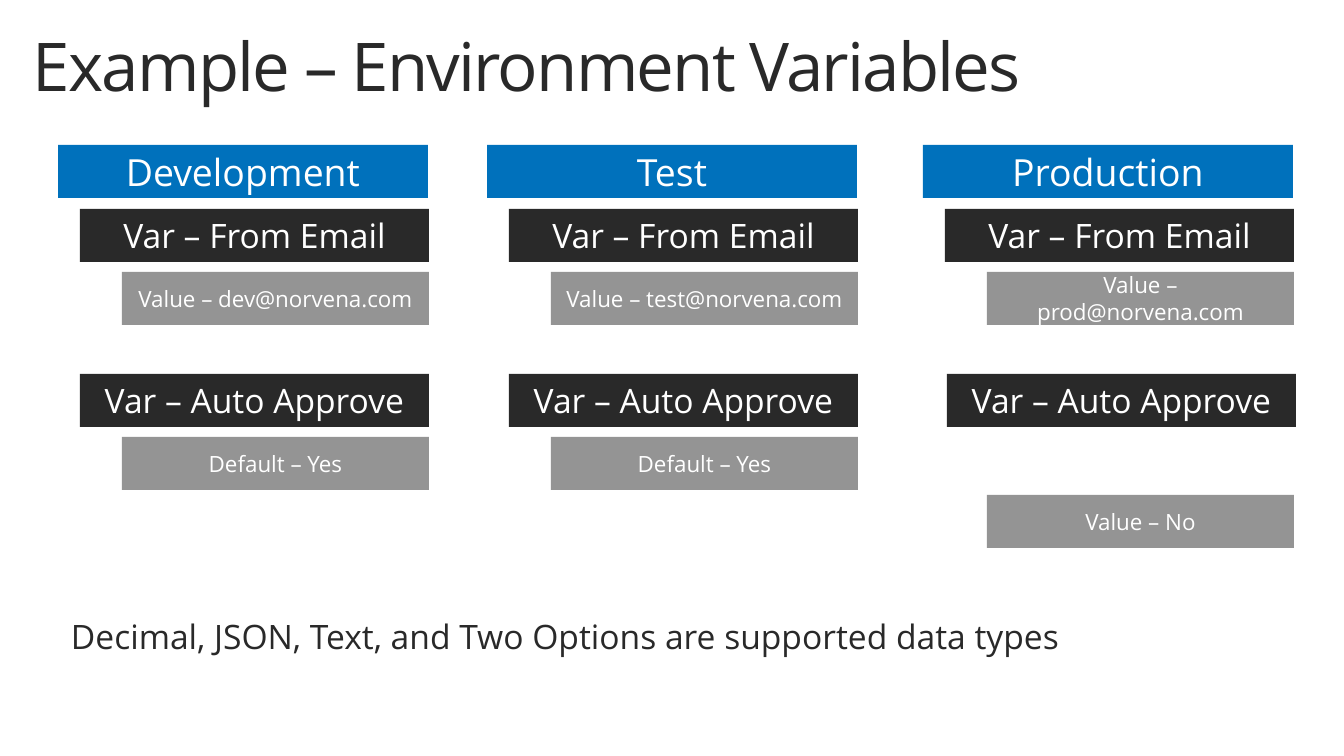
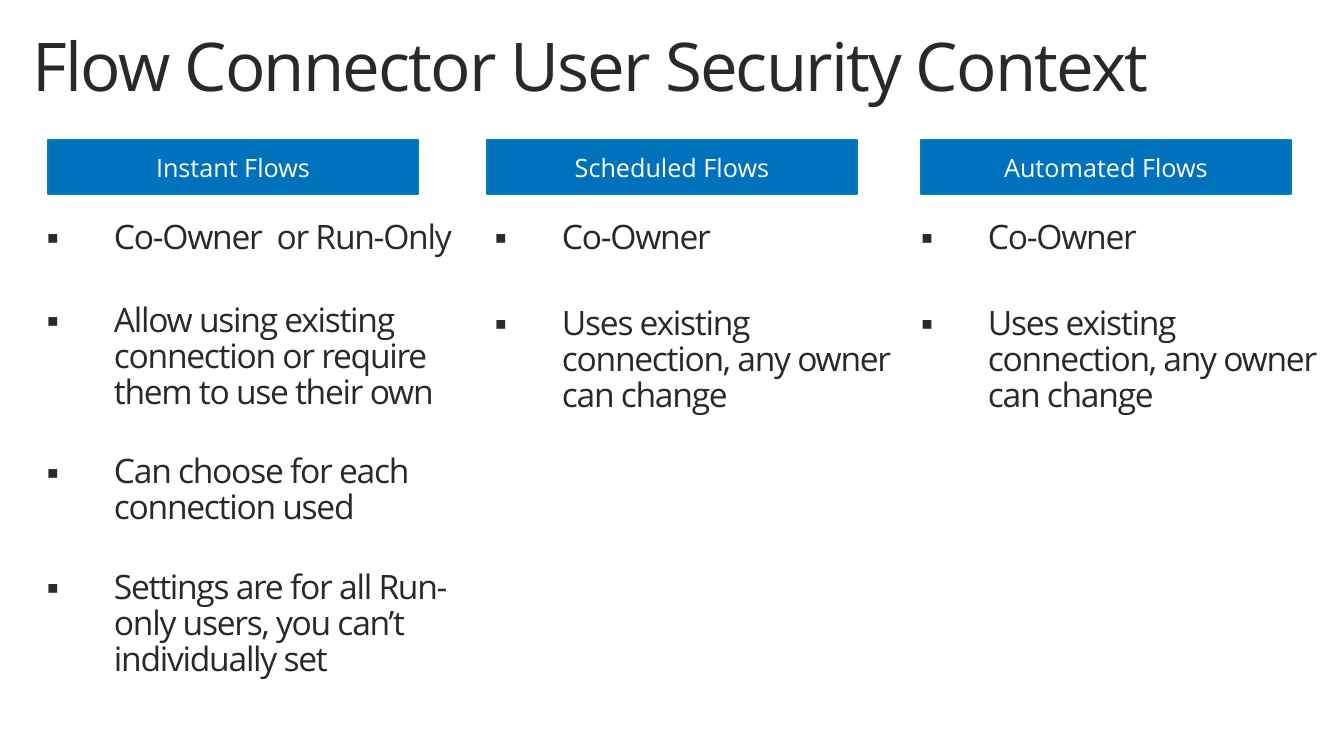
from lxml.etree import SubElement
from pptx import Presentation
from pptx.dml.color import RGBColor
from pptx.enum.shapes import MSO_SHAPE
from pptx.enum.text import MSO_ANCHOR, PP_ALIGN
from pptx.oxml.ns import qn
from pptx.util import Pt

EMU_PER_PIXEL = 914400 / 100.8
FONT = "Open Sans"
BLUE = RGBColor(0x00, 0x71, 0xBC)
TEAL = RGBColor(0x00, 0x81, 0xB1)
DARK = RGBColor(0x29, 0x29, 0x29)
GRAY = RGBColor(0x94, 0x94, 0x94)
WHITE = RGBColor(0xFF, 0xFF, 0xFF)


def emu(pixels):
    return round(pixels * EMU_PER_PIXEL)


class Builder:
    def __init__(self):
        self.deck = Presentation()
        self.deck.slide_width = emu(1344)
        self.deck.slide_height = emu(756)
        self.page = None

    def start(self, title):
        self.page = self.deck.slides.add_slide(self.deck.slide_layouts[6])
        frame = self.text(33, 25, 1277, 89, title, 48, (0, 5), -130)
        frame.vertical_anchor = MSO_ANCHOR.MIDDLE
        frame.paragraphs[0].line_spacing = 0.9

    def style(self, frame, size, color, margins, tracking=0):
        frame.word_wrap = True
        frame.margin_left = frame.margin_right = emu(margins[0])
        frame.margin_top = frame.margin_bottom = emu(margins[1])
        for para in frame.paragraphs:
            for span in para.runs:
                span.font.name = FONT
                span.font.size = Pt(size)
                span.font.color.rgb = color
                if tracking:
                    span.font._element.set("spc", str(tracking))

    def text(self, left, top, width, height, words, size, margins=(10, 5), tracking=0):
        box = self.page.shapes.add_textbox(emu(left), emu(top), emu(width), emu(height))
        box.text_frame.text = words
        self.style(box.text_frame, size, DARK, margins, tracking)
        return box.text_frame

    def bar(self, left, top, width, height, words, size, fill, line=None, margins=(13, 7)):
        box = self.page.shapes.add_shape(
            MSO_SHAPE.RECTANGLE, emu(left), emu(top), emu(width), emu(height))
        box.shadow.inherit = False
        box.fill.solid()
        box.fill.fore_color.rgb = fill
        if line is None:
            box.line.fill.background()
        else:
            box.line.color.rgb = line
            box.line.width = Pt(2)
        frame = box.text_frame
        frame.text = words
        frame.vertical_anchor = MSO_ANCHOR.MIDDLE
        frame.paragraphs[0].alignment = PP_ALIGN.CENTER
        self.style(frame, size, WHITE, margins)

    def bullets(self, left, top, width, height, items):
        words = "\n".join(item for item, gap in items)
        frame = self.text(left, top, width, height, words, 24, (0, 0), -90)
        for para, (item, gap) in zip(frame.paragraphs, items):
            para.line_spacing = 0.9
            para.space_before = Pt(gap)
            properties = para._p.get_or_add_pPr()
            properties.set("marL", str(emu(67)))
            properties.set("indent", str(-emu(67)))
            color = SubElement(properties, qn("a:buClr"))
            SubElement(color, qn("a:srgbClr"), val=str(DARK))
            SubElement(properties, qn("a:buSzPct"), val="90000")
            SubElement(properties, qn("a:buFont"), typeface=FONT)
            SubElement(properties, qn("a:buChar"), char="▪")


def environment_variables(builder):
    builder.start("Example – Environment Variables")
    environments = [
        (58, "Development", "dev", 22, 437, "Default – Yes"),
        (487, "Test", "test", 22, 437, "Default – Yes"),
        (923, "Production", "prod", 24, 495, "Value – No"),
    ]
    for left, name, mailbox, approve_indent, approve_top, approve in environments:
        builder.bar(left, 145, 370, 53, name, 26.7, BLUE)
        builder.bar(left + 22, 209, 349, 53, "Var – From Email", 24, DARK)
        builder.bar(left + 64, 272, 307, 53, f"Value – {mailbox}@norvena.com", 16, GRAY)
        builder.bar(left + approve_indent, 374, 349, 53, "Var – Auto Approve", 24, DARK)
        builder.bar(left + 64, approve_top, 307, 53, approve, 16, GRAY)
    builder.text(61, 611, 1140, 50,
                 "Decimal, JSON, Text, and Two Options are supported data types", 24)


def security_context(builder):
    builder.start("Flow Connector User Security Context")
    instant = [
        ("Co-Owner  or Run-Only", 4.8),
        ("Allow using existing connection or require them to use their own", 33.4),
        ("Can choose for each connection used", 30.6),
        ("Settings are for all Run-only users, you can’t individually set", 30.6),
    ]
    owner_only = [
        ("Co-Owner", 4.8),
        ("Uses existing connection, any owner can change", 35.5),
    ]
    flows = [
        (48, "Instant Flows", 47, 464, instant),
        (487, "Scheduled Flows", 495, 163, owner_only),
        (921, "Automated Flows", 921, 163, owner_only),
    ]
    for left, name, list_left, list_height, items in flows:
        builder.bar(left, 140, 370, 54, name, 18, BLUE, TEAL, (10, 5))
        builder.bullets(list_left, 220, 423, list_height, items)


builder = Builder()
environment_variables(builder)
security_context(builder)
builder.deck.save("out.pptx")
